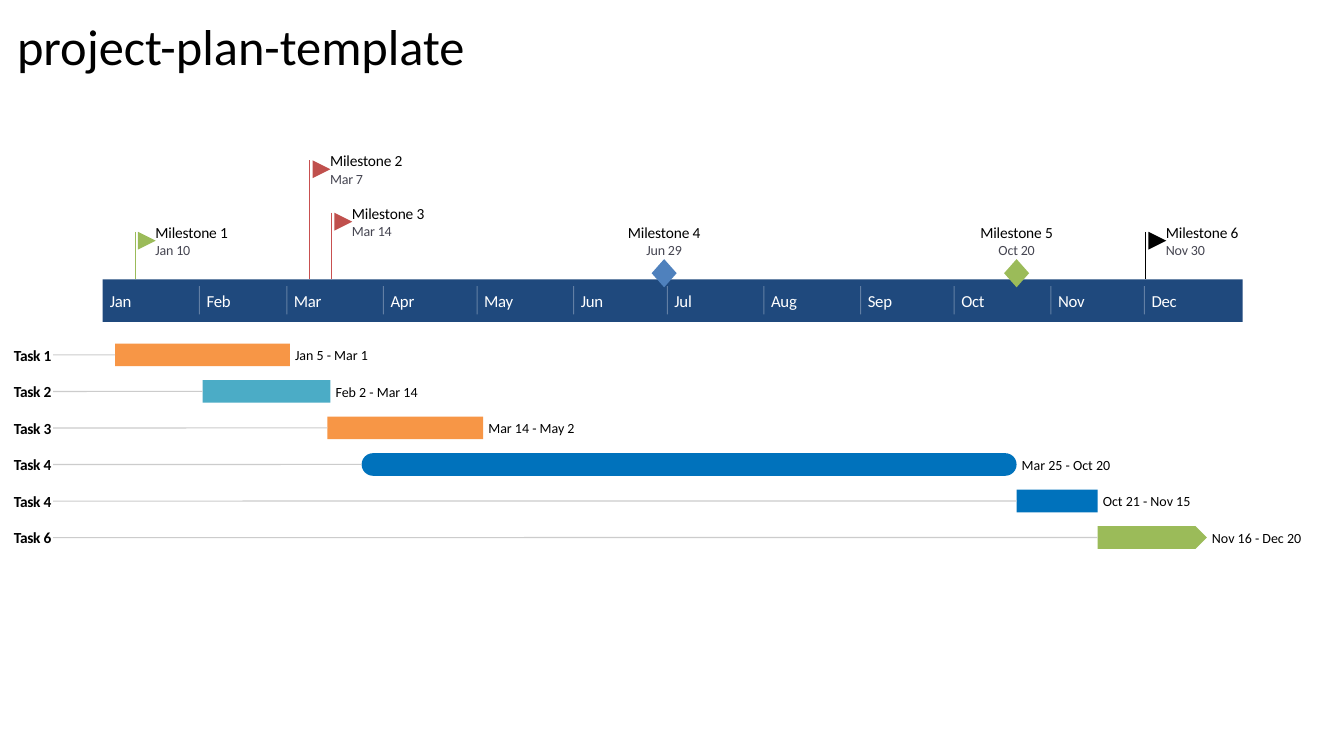
import itertools

import pptx
import pptx.dml.color
import pptx.enum.shapes
import pptx.enum.text
import pptx.oxml.ns
import pptx.oxml.xmlchemy
import pptx.util

Cm = pptx.util.Cm
SHAPE = pptx.enum.shapes.MSO_SHAPE
ALIGN = pptx.enum.text.PP_ALIGN

COLORS = {
    "black": "000000", "white": "FFFFFF", "navy": "1F497D", "gray": "CCCCCC",
    "slate": "454551", "orange": "F79646", "teal": "4BACC6", "blue": "0072BC",
    "green": "9BBB59", "red": "C0504D", "stem_red": "C85050", "steel": "4F81BD",
}
TITLE = "project-plan-template"
MONTHS = {
    "Jan": 31, "Feb": 28, "Mar": 31, "Apr": 30, "May": 31, "Jun": 30,
    "Jul": 31, "Aug": 31, "Sep": 30, "Oct": 31, "Nov": 30, "Dec": 31,
}
TASKS = [
    ("Task 1", "Jan 5", "Mar 1", SHAPE.RECTANGLE, "orange"),
    ("Task 2", "Feb 2", "Mar 14", SHAPE.RECTANGLE, "teal"),
    ("Task 3", "Mar 14", "May 2", SHAPE.RECTANGLE, "orange"),
    ("Task 4", "Mar 25", "Oct 20", SHAPE.ROUNDED_RECTANGLE, "blue"),
    ("Task 4", "Oct 21", "Nov 15", SHAPE.RECTANGLE, "blue"),
    ("Task 6", "Nov 16", "Dec 20", SHAPE.PENTAGON, "green"),
]
FLAGS = [
    ("Milestone 1", "Jan 10", 5.84, "green", "green"),
    ("Milestone 2", "Mar 7", 4.04, "red", "stem_red"),
    ("Milestone 3", "Mar 14", 5.36, "red", "stem_red"),
    ("Milestone 6", "Nov 30", 5.84, "black", "black"),
]
DIAMONDS = [("Milestone 4", "Jun 29", "steel"), ("Milestone 5", "Oct 20", "green")]

STYLES = {
    "title": {"size": 36, "color": "black"},
    "month": {"size": 12, "color": "white", "spc": -20},
    "task": {"size": 11, "color": "black", "spc": -20, "bold": True},
    "range": {"size": 10, "color": "black"},
    "name": {"size": 11, "color": "black", "spc": -10},
    "date": {"size": 10, "color": "slate", "spc": -10},
}

AXIS_X, AXIS_Y, AXIS_W, AXIS_H = 2.59, 7.04, 28.73, 1.07
DAY = 0.0786
ROW_Y, ROW_STEP, BAR_H = 8.66, 0.92, 0.57
FLAG, MILESTONE_Y = 0.45, 5.84
DIAMOND_W, DIAMOND_H, DIAMOND_Y = 0.63, 0.71, 6.53
NAME_W, NAME_H, DATE_H = 1.9, 0.48, 0.43

MONTH_DAYS = dict(zip(MONTHS, itertools.accumulate(MONTHS.values(), initial=0)))

prs = pptx.Presentation()
prs.slide_width, prs.slide_height = Cm(33.87), Cm(19.05)
s = prs.slides.add_slide(prs.slide_layouts[6])


def rgb(color):
    return pptx.dml.color.RGBColor.from_string(COLORS[color])


def day_x(date, extra=0):
    month, day = date.split()
    return AXIS_X + DAY * (MONTH_DAYS[month] + int(day) - 1 + extra)


def add_text(text, style, x, y, w, h, align=ALIGN.LEFT, wrap=True):
    sp = s.shapes.add_textbox(Cm(x), Cm(y), Cm(w), Cm(h))
    tf = sp.text_frame
    frame = {"word_wrap": wrap}
    if style != "title":
        frame["vertical_anchor"] = pptx.enum.text.MSO_ANCHOR.MIDDLE
        frame.update(dict.fromkeys(
            ("margin_left", "margin_top", "margin_right", "margin_bottom"), 0))
    for key, value in frame.items():
        setattr(tf, key, value)
    p = tf.paragraphs[0]
    p.alignment = align
    r = p.add_run()
    r.text = text
    look = STYLES[style]
    font = {"name": "Calibri", "size": pptx.util.Pt(look["size"]),
            "bold": look.get("bold", False)}
    for key, value in font.items():
        setattr(r.font, key, value)
    r.font.color.rgb = rgb(look["color"])
    if "spc" in look:
        r.font._element.set("spc", str(look["spc"]))
    return sp


def add_block(kind, color, x, y, w, h, rotation=0):
    sp = s.shapes.add_shape(kind, Cm(x), Cm(y), Cm(w), Cm(h))
    sp.shadow.inherit = False
    sp.fill.solid()
    sp.fill.fore_color.rgb = rgb(color)
    sp.line.fill.background()
    sp.rotation = rotation
    return sp


def add_line(color, x1, y1, x2, y2, opacity=None):
    sp = s.shapes.add_connector(pptx.enum.shapes.MSO_CONNECTOR.STRAIGHT,
                                Cm(x1), Cm(y1), Cm(x2), Cm(y2))
    sp.line.color.rgb = rgb(color)
    sp.line.width = pptx.util.Pt(0.75)
    props = sp._element.spPr
    if opacity:
        clr = props.find(".//" + pptx.oxml.ns.qn("a:srgbClr"))
        alpha = pptx.oxml.xmlchemy.OxmlElement("a:alpha")
        alpha.set("val", str(opacity * 1000))
        clr.append(alpha)
    props.append(pptx.oxml.xmlchemy.OxmlElement("a:effectLst"))
    return sp


def add_milestone_text(name, date, x, y, align):
    add_text(name, "name", x, y - 0.23, NAME_W, NAME_H, align)
    add_text(date, "date", x, y + 0.25, NAME_W, DATE_H, align)


add_block(SHAPE.RECTANGLE, "navy", AXIS_X, AXIS_Y, AXIS_W, AXIS_H)
for month in MONTHS:
    x = day_x(month + " 1")
    add_text(month, "month", x + 0.18, AXIS_Y + 0.28, 0.78, 0.51, wrap=False)
    if month != "Jan":
        add_line("white", x, AXIS_Y + 0.17, x, AXIS_Y + 0.88, opacity=30)

for i, (task, start, end, kind, color) in enumerate(TASKS):
    y = ROW_Y + i * ROW_STEP
    mid = y + BAR_H / 2
    left, right = day_x(start), day_x(end, 1)
    bar = add_block(kind, color, left, y, right - left, BAR_H)
    if kind == SHAPE.ROUNDED_RECTANGLE:
        bar.adjustments[0] = 0.5
    label = add_text(task, "task", 0.35, mid - 0.24, 0.99, 0.48)
    guide = add_line("gray", 1.34, mid, left, mid)
    guide.begin_connect(label, 3)
    guide.end_connect(bar, 1)
    add_text(f"{start} - {end}", "range", right + 0.13, mid - DATE_H / 2, 2.35, DATE_H)

for name, date, y, color, stem in FLAGS:
    x = day_x(date, 1) + 0.03
    add_line(stem, x, y, x, AXIS_Y)
    add_block(SHAPE.FLOWCHART_MERGE, color, x + 0.07, y, FLAG, FLAG, 270)
    add_milestone_text(name, date, x + 0.51, y, ALIGN.LEFT)

for name, date, color in DIAMONDS:
    x = day_x(date, 1)
    add_block(SHAPE.DIAMOND, color, x - DIAMOND_W / 2, DIAMOND_Y, DIAMOND_W, DIAMOND_H)
    add_milestone_text(name, date, x - NAME_W / 2, MILESTONE_Y, ALIGN.CENTER)

add_text(TITLE, "title", 0.18, 0.25, 20.55, 1.8)

prs.save("out.pptx")
